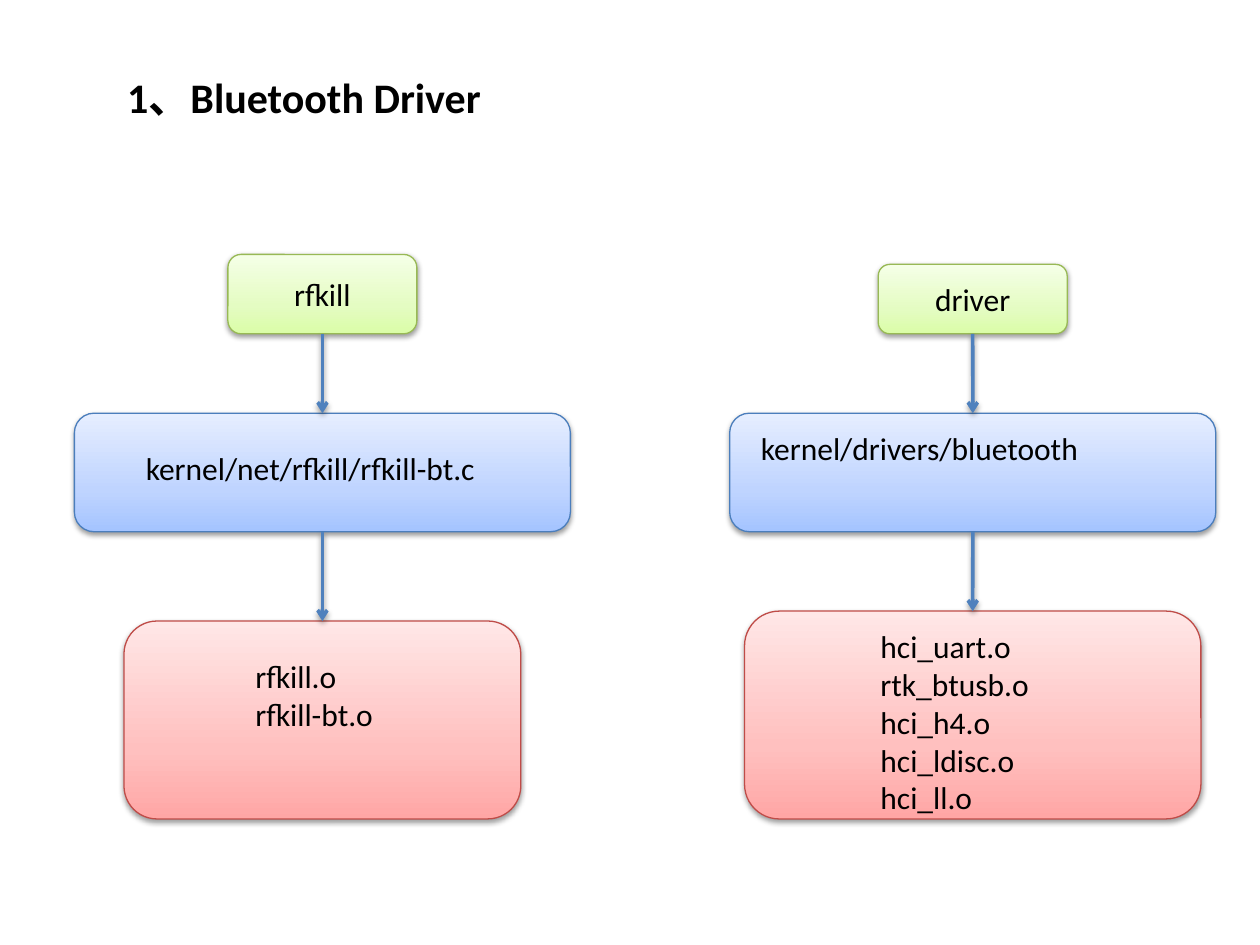
from copy import deepcopy

from lxml.etree import SubElement
from pptx import Presentation
from pptx.dml.color import RGBColor
from pptx.enum.shapes import MSO_CONNECTOR as Connector, MSO_SHAPE as Shape
from pptx.enum.text import MSO_ANCHOR as Anchor, PP_ALIGN as Align
from pptx.oxml.ns import qn
from pptx.util import Cm, Pt

FONT = "Calibri"
COLOURS = {
    "text": "000000",
    "arrow": "4F81BD",
    "green": ("DAFDA7", "E4FCC2", "F5FFE7"),
    "green line": "98B955",
    "blue": ("A4C4FF", "BFD4FF", "E6EEFF"),
    "blue line": "4B7EBC",
    "red": ("FFA6A5", "FFC0BF", "FFE7E7"),
    "red line": "BF4C48",
}
STOP_POSITIONS = (0, 0.35, 1)
BOTTOMS = {"green": 6.73, "blue": 10.72, "red": 16.51}
TOP_SITE, BOTTOM_SITE = 0, 2

FLOWS = [
    {
        "centre": 6.5,
        "boxes": [("green", 3.81, 1.6, "rfkill"), ("blue", 10, 2.39, ""), ("red", 8, 3.99, "")],
        "labels": [
            ((2.69, 8.92, 8.99, 1.02), ["kernel/net/rfkill/rfkill-bt.c"]),
            ((4.9, 13.13, 4.8, 1.8), ["rfkill.o", "rfkill-bt.o"]),
        ],
    },
    {
        "centre": 19.61,
        "boxes": [("green", 3.81, 1.4, "driver"), ("blue", 9.8, 2.39, ""), ("red", 9.2, 4.19, "")],
        "labels": [
            ((15.09, 8.53, 8.99, 1.8), ["kernel/drivers/bluetooth"]),
            ((17.5, 12.52, 4.8, 4.11), ["hci_uart.o rtk_btusb.o", "hci_h4.o hci_ldisc.o", "hci_ll.o"]),
        ],
    },
]


def rgb(name):
    return RGBColor.from_string(COLOURS[name])


def add_span(para, text, size=18, bold=False):
    span = para.add_run()
    span.text = text
    span.font.name = FONT
    span.font.size = Pt(size)
    span.font.bold = bold
    span.font.color.rgb = rgb("text")


def add_shadow(item):
    effects = SubElement(item.element.spPr, qn("a:effectLst"))
    shadow = SubElement(effects, qn("a:outerShdw"), blurRad="40000", dist="20000",
                        dir="5400000", rotWithShape="0")
    colour = SubElement(shadow, qn("a:srgbClr"), val="000000")
    SubElement(colour, qn("a:alpha"), val="38000")


def fill_gradient(box, colours):
    box.fill.gradient()
    box.fill.gradient_angle = 90
    stop_list = box.element.spPr.find(".//" + qn("a:gsLst"))
    stop_list.insert(1, deepcopy(stop_list[0]))
    for stop, position, colour in zip(box.fill.gradient_stops, STOP_POSITIONS, colours):
        stop.position = position
        stop.color.rgb = RGBColor.from_string(colour)


def add_box(page, centre, kind, width, height, text):
    box = page.shapes.add_shape(Shape.ROUNDED_RECTANGLE, Cm(centre - width / 2),
                                Cm(BOTTOMS[kind] - height), Cm(width), Cm(height))
    fill_gradient(box, COLOURS[kind])
    box.line.color.rgb = rgb(kind + " line")
    box.line.width = Pt(0.75)
    add_shadow(box)
    if text:
        box.text_frame.vertical_anchor = Anchor.MIDDLE
        para = box.text_frame.paragraphs[0]
        para.alignment = Align.CENTER
        add_span(para, text)
    return box


def add_label(page, place, lines):
    frame = page.shapes.add_textbox(*map(Cm, place)).text_frame
    frame.word_wrap = True
    for index, line in enumerate(lines):
        para = frame.add_paragraph() if index else frame.paragraphs[0]
        add_span(para, line)


def add_arrow(page, upper, lower):
    arrow = page.shapes.add_connector(Connector.STRAIGHT, 0, 0, 0, 0)
    arrow.begin_connect(upper, BOTTOM_SITE)
    arrow.end_connect(lower, TOP_SITE)
    arrow.line.color.rgb = rgb("arrow")
    arrow.line.width = Pt(2)
    SubElement(arrow.line._get_or_add_ln(), qn("a:tailEnd"), type="arrow")
    add_shadow(arrow)


def set_title(page, text):
    title = page.shapes.title
    title.left, title.top, title.width, title.height = map(Cm, (2.31, 1.32, 8.79, 1.27))
    title.text_frame.vertical_anchor = Anchor.TOP
    title.text_frame.word_wrap = True
    para = title.text_frame.paragraphs[0]
    para.alignment = Align.LEFT
    add_span(para, text, 24, True)


def add_flow(page, flow):
    boxes = [add_box(page, flow["centre"], *box) for box in flow["boxes"]]
    for place, lines in flow["labels"]:
        add_label(page, place, lines)
    for upper, lower in zip(boxes, boxes[1:]):
        add_arrow(page, upper, lower)


def main():
    deck = Presentation()
    deck.slide_width, deck.slide_height = Cm(25.4), Cm(19.05)
    page = deck.slides.add_slide(deck.slide_layouts[5])
    set_title(page, "1、Bluetooth Driver")
    for flow in FLOWS:
        add_flow(page, flow)
    deck.save("out.pptx")


main()
